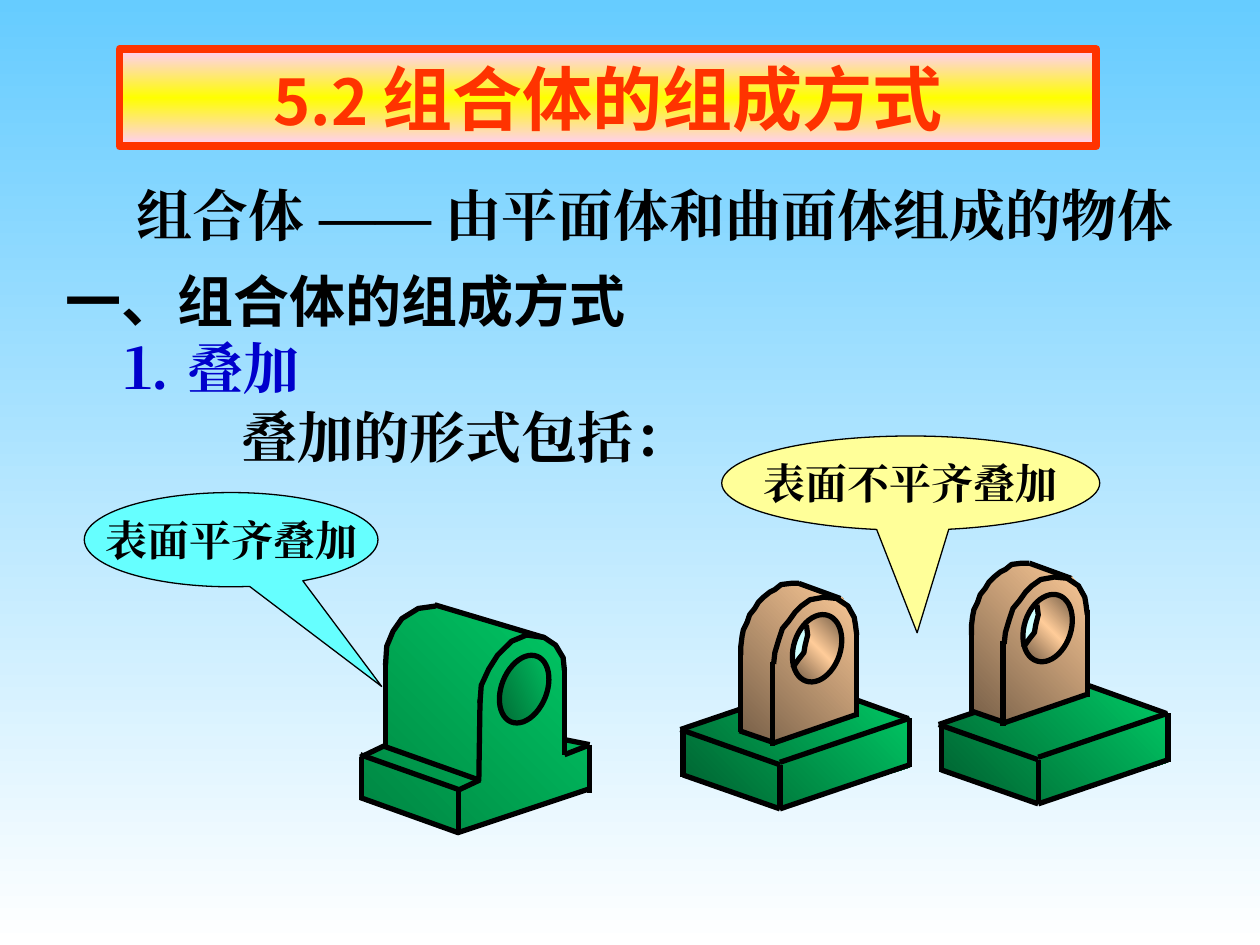
from copy import deepcopy
from dataclasses import dataclass, field

from lxml.etree import SubElement
from pptx import Presentation
from pptx.dml.color import RGBColor
from pptx.enum.shapes import MSO_CONNECTOR, MSO_SHAPE
from pptx.enum.text import MSO_ANCHOR, MSO_AUTO_SIZE, PP_ALIGN
from pptx.oxml.ns import qn
from pptx.util import Cm, Pt

COLORS = {
    "sky": "66CCFF", "white": "FFFFFF", "black": "000000", "blue": "0000CC",
    "red": "FF3300", "pink": "FFCCFF", "yellow": "FFFF00",
    "cyan": "66FFFF", "cream": "FFFF99", "pale": "CCFFFF",
    "brown": "765E47", "tan": "FFCC99",
    "dark_green": "005E2F", "mid_green": "008442", "green": "00CC66",
}
CJK, TIMES = "Noto Sans CJK SC", "Times New Roman"
U = Cm(0.0254)  # drawing grid: a hundredth of an inch

Points = list[tuple[int, int]]


@dataclass
class Solid:
    face: Points
    stops: list[str]
    edges: list[tuple[int, int, int, int]]
    curves: list[Points] = field(default_factory=list)


@dataclass
class Callout:
    box: tuple[float, float, float, float]
    tip: tuple[float, float]
    color: str
    text: str


def rgb(name: str) -> RGBColor:
    return RGBColor.from_string(COLORS[name])


def gradient(fill, owner, stops: list[str], angle: int) -> None:
    fill.gradient()
    fill.gradient_angle = angle
    gs_list = next(owner.iter(qn("a:gsLst")))
    for _ in stops[2:]:
        gs_list.append(deepcopy(gs_list[0]))
    for i, (stop, name) in enumerate(zip(fill.gradient_stops, stops)):
        stop.position = i / (len(stops) - 1)
        stop.color.rgb = rgb(name)


def stroke(shape, width: float, color: str = "black") -> None:
    shape.line.color.rgb = rgb(color)
    shape.line.width = Pt(width)


def place(shape, left: float, top: float, width: float, height: float) -> None:
    shape.left, shape.top = Cm(left), Cm(top)
    shape.width, shape.height = Cm(width), Cm(height)


def frame(shape, wrap: bool = True):
    tf = shape.text_frame
    tf.word_wrap = wrap
    tf.auto_size = MSO_AUTO_SIZE.NONE
    tf.vertical_anchor = MSO_ANCHOR.MIDDLE
    return tf


def add_text(p, text: str, size=32, font=TIMES, color="black", align=PP_ALIGN.LEFT, indent=0.0) -> None:
    p.alignment = align
    p.space_before = Pt(0)
    pPr = p._p.get_or_add_pPr()
    pPr.set("marL", str(Cm(indent)))
    pPr.set("indent", "0")
    if pPr.find(qn("a:buNone")) is None:
        SubElement(pPr, qn("a:buNone"))
    r = p.add_run()
    r.text = text
    r.font.name, r.font.size, r.font.bold = font, Pt(size), True
    r.font.color.rgb = rgb(color)
    SubElement(r._r.get_or_add_rPr(), qn("a:ea")).set("typeface", font)


def add_callout(s, c: Callout) -> None:
    sp = s.shapes.add_shape(MSO_SHAPE.OVAL_CALLOUT, *map(Cm, c.box))
    sp.shadow.inherit = False
    sp.adjustments[0], sp.adjustments[1] = c.tip
    sp.fill.solid()
    sp.fill.fore_color.rgb = rgb(c.color)
    stroke(sp, 0.75)
    add_text(frame(sp, wrap=False).paragraphs[0], c.text, size=24, align=PP_ALIGN.CENTER)


def add_outline(grp, points: Points, stops: list[str], dx=0, dy=0) -> None:
    """Filled face when stops are given, otherwise an open black curve."""
    moved = [(x + dx, y + dy) for x, y in points]
    fb = grp.shapes.build_freeform(*moved[0], scale=U)
    fb.add_line_segments(moved[1:], close=bool(stops))
    sp = fb.convert_to_shape()
    sp.shadow.inherit = False
    if not stops:
        sp.fill.background()
        stroke(sp, 3)
        return
    sp.line.fill.background()
    if len(stops) == 1:
        sp.fill.solid()
        sp.fill.fore_color.rgb = rgb(stops[0])
    else:
        gradient(sp.fill, sp._element, stops, 45)


def add_solid(grp, solid: Solid, dx=0, dy=0) -> None:
    add_outline(grp, solid.face, solid.stops, dx, dy)
    for x1, y1, x2, y2 in solid.edges:
        ln = grp.shapes.add_connector(MSO_CONNECTOR.STRAIGHT, (x1 + dx) * U, (y1 + dy) * U,
                                      (x2 + dx) * U, (y2 + dy) * U)
        stroke(ln, 3)
        SubElement(ln._element.spPr, qn("a:effectLst"))
    for curve in solid.curves:
        add_outline(grp, curve, [], dx, dy)


def add_ring(grp, x: int, y: int, w: int, h: int, angle: float, stops: list[str]) -> None:
    sp = grp.shapes.add_shape(MSO_SHAPE.OVAL, x * U, y * U, w * U, h * U)
    sp.shadow.inherit = False
    sp.rotation = angle
    stroke(sp, 3)
    if stops:
        gradient(sp.fill, sp._element, stops, 45)
    else:
        sp.fill.background()


BASE = Solid(
    [(542, 579), (542, 615), (619, 642), (722, 609), (722, 570), (648, 544)],
    ["dark_green", "green"],
    [(540, 579, 643, 544), (720, 570, 642, 542), (619, 605, 722, 570),
     (619, 607, 540, 579), (542, 579, 542, 617), (542, 615, 619, 642),
     (619, 607, 619, 642), (722, 570, 722, 609), (722, 607, 619, 642)])
UPRIGHT = Solid(
    [(587, 581), (614, 589), (680, 567), (681, 501), (678, 489), (674, 482), (668, 474), (660, 473),
     (634, 463), (627, 464), (610, 470), (601, 478), (593, 489), (588, 503), (587, 511)],
    ["brown", "tan"],
    [(587, 580, 613, 589), (613, 590, 680, 567), (613, 592, 613, 525),
     (680, 569, 680, 500), (588, 581, 588, 517), (634, 463, 667, 475)],
    [[(680, 504), (679, 496), (678, 490), (673, 481), (664, 475), (654, 474), (643, 476), (636, 481),
      (631, 486), (626, 493), (621, 499), (618, 508), (615, 518), (614, 527)],
     [(634, 463), (628, 463), (620, 464), (615, 468), (611, 470), (606, 474), (602, 478), (599, 483),
      (595, 488), (593, 494), (590, 500), (589, 505), (588, 513), (588, 520)]])
OPENING = [(640, 497), (642, 508), (639, 514), (638, 520), (634, 523), (630, 527), (629, 520),
           (629, 513), (632, 508), (634, 502)]
BORE = [(639, 496), (642, 504), (640, 514), (637, 522), (632, 528), (632, 535), (639, 540), (648, 541),
        (659, 535), (666, 523), (668, 512), (667, 499), (663, 492), (658, 489), (649, 489), (643, 492)]
BORE_EDGE = [(640, 496), (641, 504), (639, 512), (638, 518), (634, 523), (629, 530)]
FLUSH = Solid(
    [(289, 636), (364, 661), (467, 626), (466, 593), (448, 587), (449, 596), (447, 533), (445, 519),
     (439, 512), (430, 505), (422, 504), (342, 480), (331, 483), (324, 489), (315, 498), (310, 508),
     (307, 516), (305, 524), (304, 592), (288, 599)],
    ["mid_green", "green"],
    [(286, 599, 365, 627), (287, 601, 287, 635), (286, 633, 364, 661), (364, 626, 364, 661),
     (286, 601, 307, 591), (304, 592, 380, 619), (364, 627, 381, 619), (448, 599, 466, 592),
     (468, 591, 468, 629), (468, 626, 363, 661), (448, 599, 448, 531), (345, 480, 432, 506),
     (306, 593, 306, 528), (468, 591, 448, 587), (380, 620, 381, 555)],
    [[(448, 532), (447, 522), (441, 512), (432, 506), (418, 504), (406, 509), (395, 520), (388, 531),
      (382, 544), (381, 558)],
     [(346, 481), (332, 483), (319, 491), (312, 501), (307, 513), (306, 528)]])
CALLOUTS = [
    Callout((1.7, 9.93, 5.92, 1.9), (0.513, 1.558), "cyan", "表面平齐叠加"),
    Callout((14.55, 8.79, 7.62, 1.9), (0.017, 1.588), "cream", "表面不平齐叠加"),
]


def main() -> None:
    prs = Presentation()
    prs.slide_width, prs.slide_height = Cm(25.4), Cm(19.05)
    s = prs.slides.add_slide(prs.slide_layouts[1])
    gradient(s.background.fill, s._element, ["sky", "white"], 270)

    # Title
    title, body = s.shapes.title, s.placeholders[1]
    place(title, 2.41, 0.99, 19.69, 1.96)
    gradient(title.fill, title._element, ["pink", "yellow", "pink"], 270)
    stroke(title, 4.5, "red")
    p = frame(title).paragraphs[0]
    for text, size in (("5.2 ", 36), ("组合体的组成方式", 40)):
        add_text(p, text, size=size, font=CJK, color="red", align=PP_ALIGN.CENTER)

    # Definition and lead-in
    for box, text, indent, wrap in (
            ((2.51, 3.51, 21.39, 1.63), "组合体 —— 由平面体和曲面体组成的物体", 0, False),
            ((3.2, 7.98, 10.92, 1.63), "叠加的形式包括：", 1.42, True)):
        tb = s.shapes.add_textbox(*map(Cm, box))
        add_text(frame(tb, wrap).paragraphs[0], text, indent=indent)

    # Outline headings
    place(body, 1.07, 5.11, 13.54, 3.23)
    tf = frame(body)
    add_text(tf.paragraphs[0], "一、组合体的组成方式", font=CJK)
    add_text(tf.add_paragraph(), "⒈ 叠加", color="blue", indent=1.04)

    for callout in CALLOUTS:
        add_callout(s, callout)

    # Brackets whose faces are not flush: base offset, then upright offset
    grp = s.shapes.add_group_shape()
    for base, (dx, dy) in (((0, 0), (0, 0)), ((205, -4), (183, -16))):
        add_solid(grp, BASE, *base)
        add_solid(grp, UPRIGHT, dx, dy)
        add_outline(grp, OPENING, ["pale"], dx, dy)
        add_outline(grp, BORE, ["brown", "tan", "brown"], dx, dy)
        add_ring(grp, 630 + dx, 487 + dy, 37, 55, 18.5, [])
        add_outline(grp, BORE_EDGE, [], dx, dy)

    # Bracket with flush faces
    grp = s.shapes.add_group_shape()
    add_solid(grp, FLUSH)
    add_ring(grp, 398, 519, 36, 56, 21.6, ["dark_green", "green"])

    prs.save("out.pptx")


if __name__ == "__main__":
    main()
